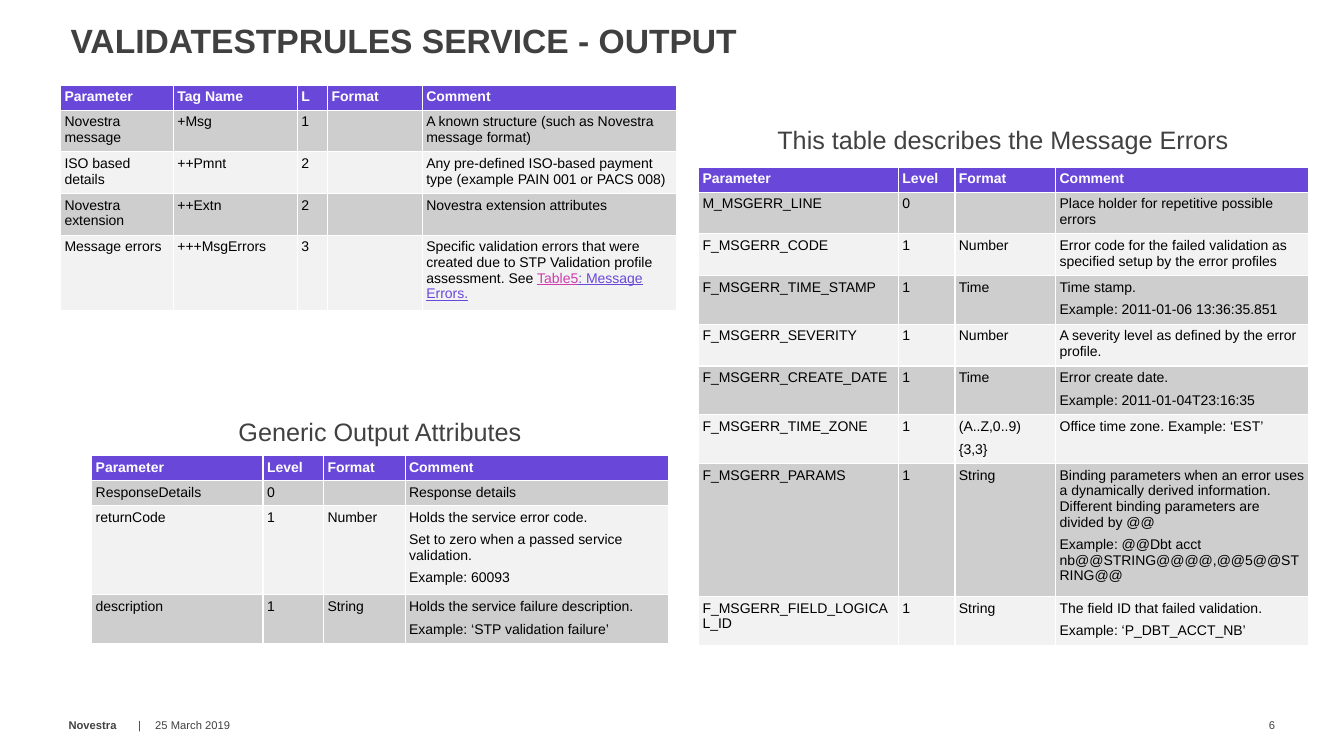
from lxml import etree
from pptx import Presentation
from pptx import util as u
from pptx.dml import color
from pptx.enum import text as t
from pptx.oxml import ns

PURPLE, PINK, WHITE, BLACK = "6948D9", "CD3CAD", "FFFFFF", "000000"
DARK, TITLE_GREY, BAND, LIGHT = "414141", "404040", "CECECE", "F2F2F2"
LINE, PADDING, PARAGRAPH_GAP = 1.86, 0.96, 0.83  # table text, in grid rows

deck = Presentation()
deck.slide_width, deck.slide_height = u.Inches(13.33), u.Inches(7.5)
COLUMN, ROW = deck.slide_width / 160, deck.slide_height / 90
page = deck.slides.add_slide(deck.slide_layouts[5])


def style(span, size, colour, bold=False):
    span.font.name = "Arial"
    span.font.size = u.Pt(size)
    span.font.bold = bold
    span.font.color.rgb = color.RGBColor.from_string(colour)


def add_label(words, left, top, width, size, align, anchor):
    """Add an unpadded text box placed on the grid and return its paragraph."""
    box = page.shapes.add_textbox(int(left * COLUMN), int(top * ROW),
                                  int(width * COLUMN), int(4.8 * ROW))
    frame = box.text_frame
    frame.word_wrap = True
    frame.vertical_anchor = anchor
    frame.margin_left = frame.margin_right = frame.margin_top = frame.margin_bottom = 0
    para = frame.paragraphs[0]
    para.text = words
    para.alignment = align
    style(para.runs[0], size, DARK)
    return para


# Title
title = page.shapes.title
title.left, title.top = int(7.2 * COLUMN), int(2.28 * ROW)
title.width, title.height = int(128.16 * COLUMN), int(8.76 * ROW)
frame = title.text_frame
frame.text = "VALIDATESTPRULES SERVICE - OUTPUT"
frame.auto_size = t.MSO_AUTO_SIZE.NONE
frame.vertical_anchor = t.MSO_ANCHOR.TOP
frame.margin_top = u.Inches(0.08)
para = frame.paragraphs[0]
para.alignment = t.PP_ALIGN.LEFT
para.line_spacing = 0.8
style(para.runs[0], 24, TITLE_GREY, True)

# Table headings
for words, left, top in [("This table describes the Message Errors", 89.52, 14.76),
                         ("Generic Output Attributes", 15.36, 49.56)]:
    add_label(words, left, top, 59.76, 18, t.PP_ALIGN.CENTER, t.MSO_ANCHOR.TOP)

# Footer
for words, left, width, align in [("Novestra", 8.16, 10.68, t.PP_ALIGN.LEFT),
                                  ("25 March 2019", 18.48, 18.36, t.PP_ALIGN.LEFT),
                                  ("6", 145.32, 6.48, t.PP_ALIGN.RIGHT)]:
    para = add_label(words, left, 83.88, width, 8, align, t.MSO_ANCHOR.MIDDLE)
    if words == "Novestra":
        tabs = etree.SubElement(para._p.get_or_add_pPr(), ns.qn("a:tabLst"))
        etree.SubElement(tabs, ns.qn("a:tab"), pos=str(u.Inches(0.69)), algn="l")
        para.runs[0].font.bold = True
        divider = para.add_run()
        divider.text = "\t|"
        style(divider, 8, DARK)

# Tables: left, top, column widths, then rows of (text lines, cells).
# A new line starts a paragraph; a bar starts the next link colour.
tables = [
    (7.2, 10.15, [13.44, 14.76, 3.6, 11.28, 30.24], [
        (1, ["Parameter", "Tag Name", "L", "Format", "Comment"]),
        (2, ["Novestra message", "+Msg", "1", "",
             "A known structure (such as Novestra message format)"]),
        (2, ["ISO based details", "++Pmnt", "2", "",
             "Any pre-defined ISO-based payment type (example PAIN 001 or PACS 008)"]),
        (2, ["Novestra extension", "++Extn", "2", "", "Novestra extension attributes"]),
        (4, ["Message errors", "+++MsgErrors", "3", "",
             "Specific validation errors that were created due to STP Validation profile "
             "assessment. See |Table5|: Message Errors."]),
    ]),
    (83.16, 19.92, [23.8, 6.72, 12, 30.08], [
        (1, ["Parameter", "Level", "Format", "Comment"]),
        (2, ["M_MSGERR_LINE", "0", "", "Place holder for repetitive possible errors"]),
        (2, ["F_MSGERR_CODE", "1", "Number",
             "Error code for the failed validation as specified setup by the error profiles"]),
        (2, ["F_MSGERR_TIME_STAMP", "1", "Time",
             "Time stamp.\nExample: 2011-01-06 13:36:35.851"]),
        (2, ["F_MSGERR_SEVERITY", "1", "Number",
             "A severity level as defined by the error profile."]),
        (2, ["F_MSGERR_CREATE_DATE", "1", "Time",
             "Error create date.\nExample: 2011-01-04T23:16:35"]),
        (2, ["F_MSGERR_TIME_ZONE", "1", "(A..Z,0..9)\n{3,3}",
             "Office time zone. Example: ‘EST’"]),
        (7, ["F_MSGERR_PARAMS", "1", "String",
             "Binding parameters when an error uses a dynamically derived information. "
             "Different binding parameters are divided by @@\n"
             "Example: @@Dbt acct nb@@STRING@@@@,@@5@@STRING@@"]),
        (2, ["F_MSGERR_FIELD_LOGICAL_ID", "1", "String",
             "The field ID that failed validation.\nExample: ‘P_DBT_ACCT_NB’"]),
    ]),
    (10.92, 54.24, [20.4, 7.2, 9.72, 31.32], [
        (1, ["Parameter", "Level", "Format", "Comment"]),
        (1, ["ResponseDetails", "0", "", "Response details"]),
        (4, ["returnCode", "1", "Number",
             "Holds the service error code.\nSet to zero when a passed service validation.\n"
             "Example: 60093"]),
        (2, ["description", "1", "String",
             "Holds the service failure description.\nExample: ‘STP validation failure’"]),
    ]),
]
for left, top, widths, rows in tables:
    heights = [PADDING + LINE * lines + PARAGRAPH_GAP * max(c.count("\n") for c in cells)
               for lines, cells in rows]
    table = page.shapes.add_table(
        len(rows), len(widths), int(left * COLUMN), int(top * ROW),
        int(sum(widths) * COLUMN), int(sum(heights) * ROW)).table
    for column, width in zip(table.columns, widths):
        column.width = int(width * COLUMN)
    for r, (lines, cells) in enumerate(rows):
        table.rows[r].height = int(heights[r] * ROW)
        fill = PURPLE if r == 0 else BAND if r % 2 else LIGHT
        for c, words in enumerate(cells):
            cell = table.cell(r, c)
            cell.margin_left = cell.margin_right = u.Inches(0.04)
            cell.margin_top = cell.margin_bottom = u.Inches(0.04)
            for side in ("a:lnL", "a:lnR"):
                border = etree.SubElement(cell._tc.get_or_add_tcPr(), ns.qn(side), w="12700")
                solid = etree.SubElement(border, ns.qn("a:solidFill"))
                etree.SubElement(solid, ns.qn("a:srgbClr"), val=WHITE)
            cell.fill.solid()
            cell.fill.fore_color.rgb = color.RGBColor.from_string(fill)
            if not words:
                etree.SubElement(cell.text_frame.paragraphs[0]._p,
                                 ns.qn("a:endParaRPr"), sz="1000")
                continue
            for i, line in enumerate(words.split("\n")):
                para = cell.text_frame.add_paragraph() if i else cell.text_frame.paragraphs[0]
                para.space_after = u.Pt(2)
                if i:
                    para.space_before = u.Pt(3)
                ink = WHITE if r == 0 else BLACK
                for piece, colour in zip(line.split("|"), [ink, PINK, PURPLE]):
                    span = para.add_run()
                    span.text = piece
                    style(span, 10, colour, r == 0)
                    if colour in (PINK, PURPLE):
                        span.font.underline = True

deck.save("out.pptx")
